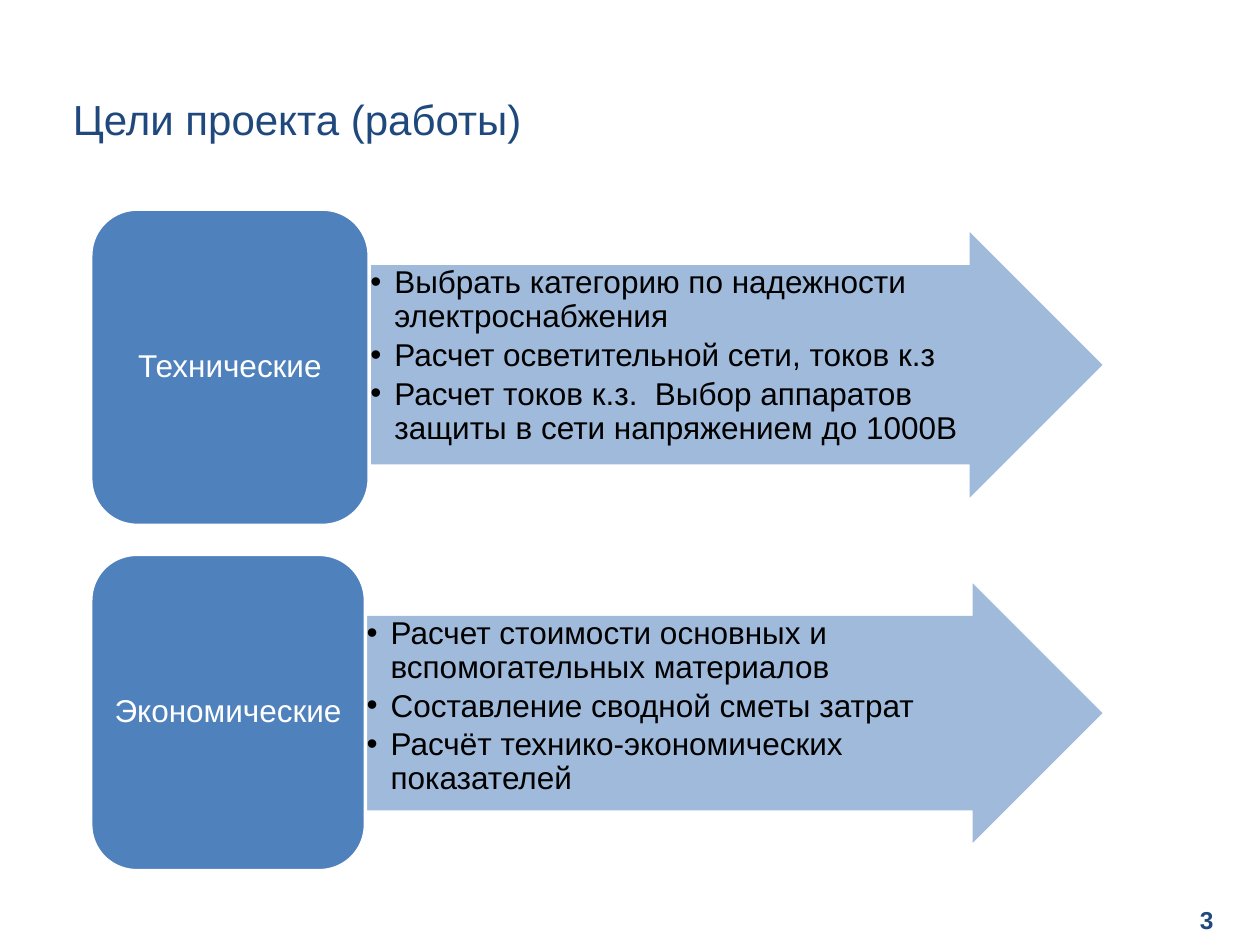
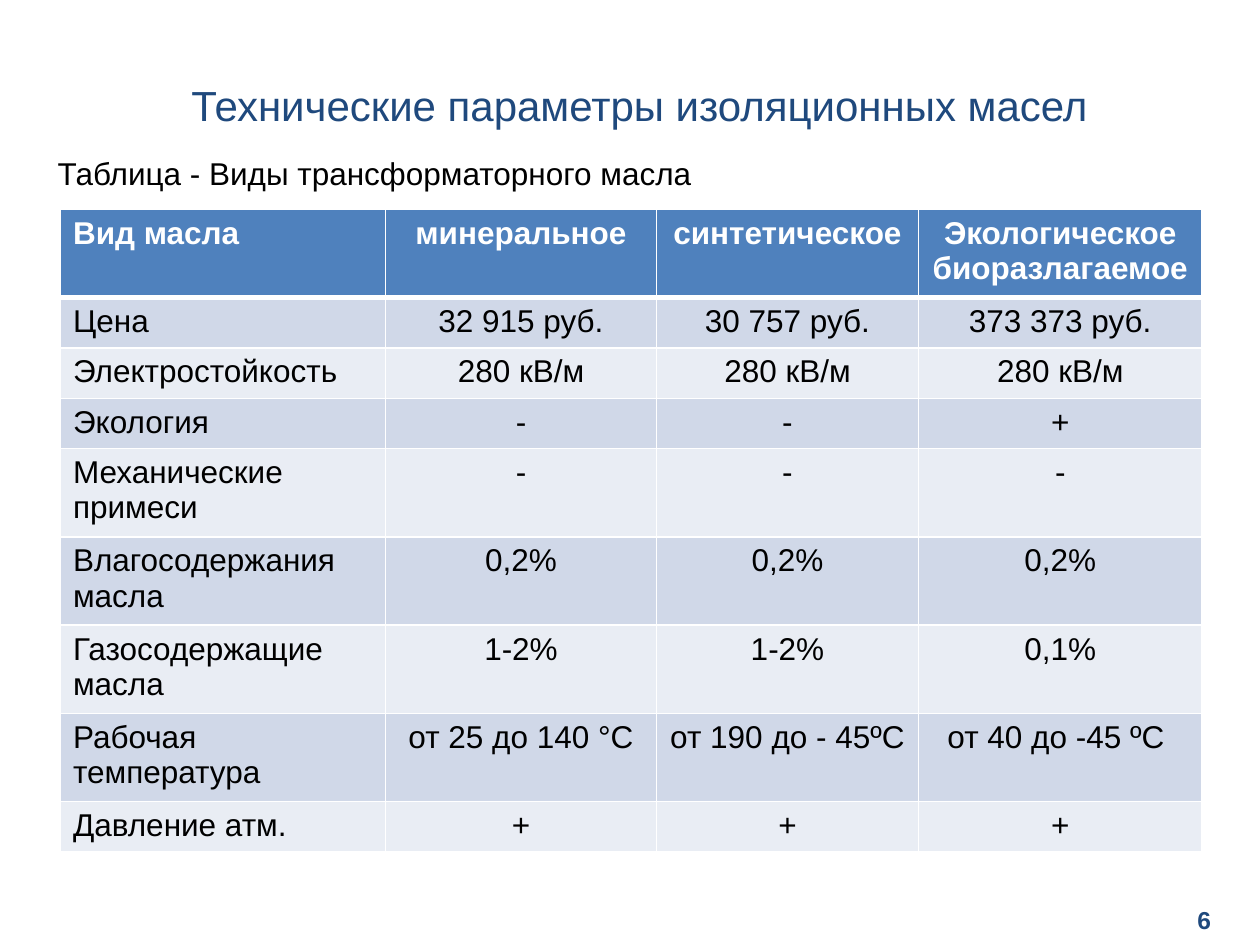
from lxml.etree import SubElement
from pptx import Presentation
from pptx.dml.color import RGBColor
from pptx.enum.shapes import MSO_SHAPE as Shape
from pptx.enum.text import MSO_ANCHOR as Anchor, PP_ALIGN as Align
from pptx.oxml import parse_xml
from pptx.oxml.ns import nsdecls, qn
from pptx.util import Inches, Pt

NAVY, BLUE, LIGHT_BLUE = "1F497D", "4F81BD", "95B3D7"
BAND_DARK, BAND_LIGHT = "D0D8E8", "E9EDF4"
WHITE, BLACK = "FFFFFF", "000000"
FONT = "Arial"


def paint(target, color):
    """Give a fill a solid colour."""
    target.solid()
    target.fore_color.rgb = RGBColor.from_string(color)


def write(frame, text, size=18, color=BLACK, bold=False, align=Align.LEFT,
          anchor=Anchor.TOP, wrap=True, bullets=False, line_spacing=None):
    """Write text into a frame, one paragraph for each line."""
    frame.word_wrap = wrap
    frame.vertical_anchor = anchor
    for index, line in enumerate(text.split("\n")):
        paragraph = frame.add_paragraph() if index else frame.paragraphs[0]
        paragraph.alignment = align
        if line_spacing:
            paragraph.line_spacing = line_spacing
        run = paragraph.add_run()
        run.text = line
        run.font.name, run.font.size, run.font.bold = FONT, Pt(size), bold
        paint(run.font.fill, color)
        if bullets:
            paragraph.space_after = Pt(2.7)
            properties = paragraph._p.get_or_add_pPr()
            properties.set("marL", str(Inches(0.19)))
            properties.set("indent", str(-Inches(0.19)))
            SubElement(properties, qn("a:buFont"), typeface=FONT)
            SubElement(properties, qn("a:buChar"), char="•")


presentation = Presentation()
presentation.slide_width, presentation.slide_height = Inches(10), Inches(7.5)
blank = presentation.slide_layouts[6]
goals_slide = presentation.slides.add_slide(blank)
oils_slide = presentation.slides.add_slide(blank)

# Titles, table caption and page numbers
title_style = dict(size=24, color=NAVY)
number_style = dict(size=14, color=NAVY, bold=True, align=Align.RIGHT, anchor=Anchor.MIDDLE)
labels = [
    (goals_slide, "Цели проекта (работы)", (0.48, 0.69, 3.8, 0.5), dict(title_style, wrap=False)),
    (goals_slide, "3", (7.4, 7.1, 2.33, 0.4), number_style),
    (oils_slide, "Технические параметры изоляционных масел", (1.42, 0.58, 7.91, 0.5), title_style),
    (oils_slide, "Таблица - Виды трансформаторного масла", (0.36, 1.17, 5.28, 0.4), dict(wrap=False)),
    (oils_slide, "6", (7.38, 7.1, 2.33, 0.4), number_style),
]
for slide, text, box, style in labels:
    textbox = slide.shapes.add_textbox(*map(Inches, box))
    write(textbox.text_frame, text, **style)

# Goals: a rounded block with an arrow that lists its tasks
block_left, block_height, arrow_right = 0.72, 2.51, 8.75
goals = [
    ("Технические", 1.66, 2.21, 1.84, 2.11,
     "Выбрать категорию по надежности электроснабжения\n"
     "Расчет осветительной сети, токов к.з\n"
     "Расчет токов к.з.  Выбор аппаратов защиты в сети напряжением до 1000В"),
    ("Экономические", 4.4, 2.18, 4.63, 2.06,
     "Расчет стоимости основных и вспомогательных материалов\n"
     "Составление сводной сметы затрат\n"
     "Расчёт технико-экономических показателей"),
]
for name, block_top, block_width, arrow_top, arrow_height, tasks in goals:
    arrow_left = block_left + block_width
    arrow_width = arrow_right - arrow_left
    arrow = goals_slide.shapes.add_shape(
        Shape.RIGHT_ARROW, Inches(arrow_left), Inches(arrow_top),
        Inches(arrow_width), Inches(arrow_height))
    arrow.adjustments[0], arrow.adjustments[1] = 0.75, 0.5
    arrow.shadow.inherit = False
    paint(arrow.fill, LIGHT_BLUE)
    arrow_color = arrow._element.spPr.find(qn("a:solidFill"))[0]
    SubElement(arrow_color, qn("a:alpha"), val="90000")
    arrow.line.fill.background()

    # Tasks fill the arrow's body and reach a little into its head
    task_box = goals_slide.shapes.add_textbox(
        Inches(arrow_left), Inches(arrow_top + arrow_height / 8),
        Inches(arrow_width - arrow_height * 3 / 8), Inches(arrow_height * 3 / 4))
    frame = task_box.text_frame
    frame.margin_left = frame.margin_right = Inches(0.01)
    frame.margin_top = frame.margin_bottom = Inches(0.01)
    write(frame, tasks, bullets=True, line_spacing=0.9)

    block = goals_slide.shapes.add_shape(
        Shape.ROUNDED_RECTANGLE, Inches(block_left), Inches(block_top),
        Inches(block_width), Inches(block_height))
    block.shadow.inherit = False
    paint(block.fill, BLUE)
    paint(block.line.fill, WHITE)
    block.line.width = Pt(2)
    block.text_frame.margin_left = block.text_frame.margin_right = Inches(0.05)
    write(block.text_frame, name, color=WHITE, align=Align.CENTER,
          anchor=Anchor.MIDDLE, line_spacing=0.9)

# Table of transformer oils
oils = [
    ("Вид масла", "минеральное", "синтетическое", "Экологическое биоразлагаемое"),
    ("Цена", "32 915 руб.", "30 757 руб.", "373 373 руб."),
    ("Электростойкость", "280 кВ/м", "280 кВ/м", "280 кВ/м"),
    ("Экология", "-", "-", "+"),
    ("Механические примеси", "-", "-", "-"),
    ("Влагосодержания масла", "0,2%", "0,2%", "0,2%"),
    ("Газосодержащие масла", "1-2%", "1-2%", "0,1%"),
    ("Рабочая температура", "от 25 до 140 °C", "от 190 до - 45ºС ", "от 40 до -45 ºС "),
    ("Давление атм.", "+", "+", "+"),
]
column_widths = [2.58, 2.15, 2.08, 2.25]
single_line, double_line = 0.4, 0.7
row_heights = [double_line] + [single_line] * 3 + [double_line] * 4 + [single_line]
table = oils_slide.shapes.add_table(
    len(oils), len(column_widths), Inches(0.48), Inches(1.66),
    Inches(sum(column_widths)), Inches(sum(row_heights))).table
for column, width in zip(table.columns, column_widths):
    column.width = Inches(width)
for row, height in zip(table.rows, row_heights):
    row.height = Inches(height)

for row_index, values in enumerate(oils):
    header = row_index == 0
    band = BLUE if header else BAND_DARK if row_index % 2 else BAND_LIGHT
    borders = {"lnL": 1, "lnR": 1, "lnT": 3 if row_index == 1 else 1, "lnB": 3 if header else 1}
    for column_index, value in enumerate(values):
        cell = table.cell(row_index, column_index)
        paint(cell.fill, band)
        write(cell.text_frame, value, color=WHITE if header else BLACK, bold=header,
              align=Align.CENTER if column_index else Align.LEFT)
        # White cell borders, thicker under the header
        for position, (side, points) in enumerate(borders.items()):
            cell._tc.get_or_add_tcPr().insert(position, parse_xml(
                f'<a:{side} {nsdecls("a")} w="{Pt(points)}"><a:solidFill>'
                f'<a:srgbClr val="{WHITE}"/></a:solidFill></a:{side}>'))

presentation.save("out.pptx")
